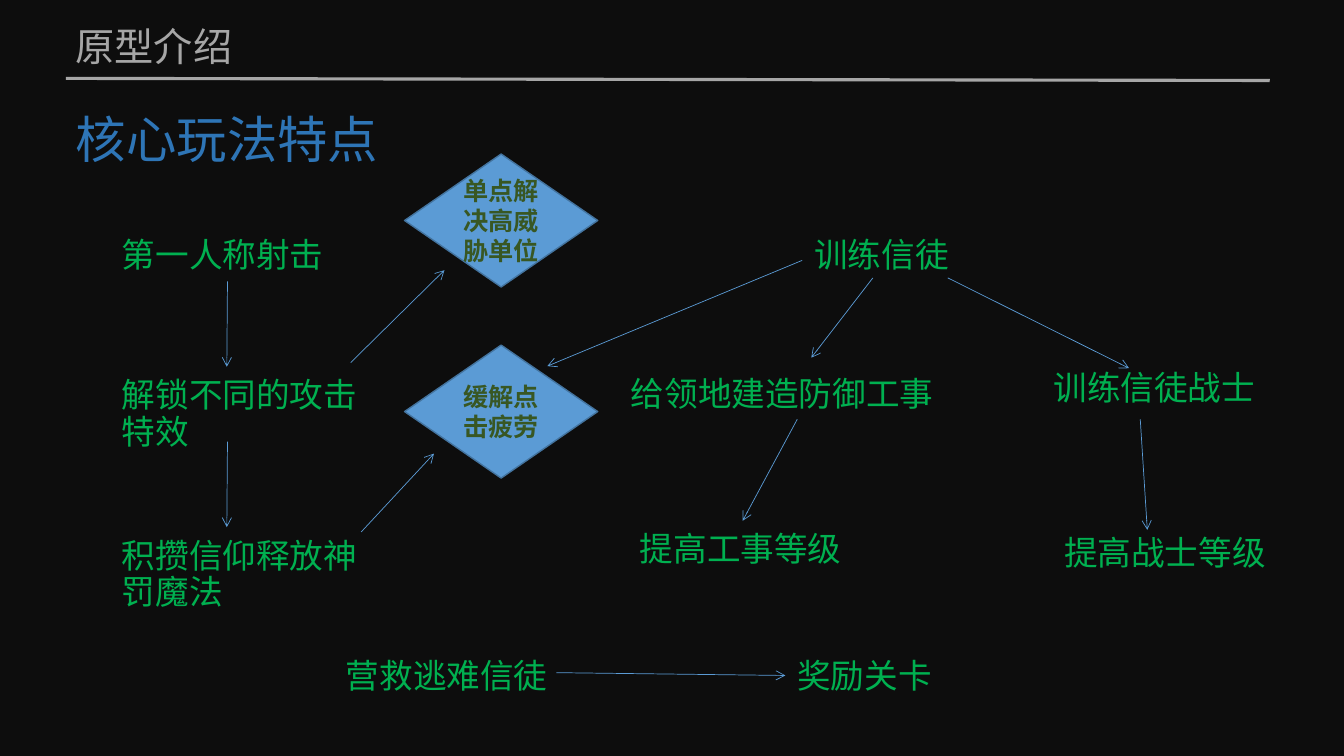
"""Build the slide on the core gameplay features of the prototype."""
from lxml.etree import SubElement
from pptx import Presentation
from pptx.dml.color import RGBColor
from pptx.enum.shapes import MSO_CONNECTOR, MSO_SHAPE
from pptx.enum.text import MSO_ANCHOR, MSO_AUTO_SIZE, PP_ALIGN
from pptx.oxml.ns import qn
from pptx.util import Pt

COLORS = {
    "background": "0D0D0D",
    "title": "2E75B6",
    "section": "A6A6A6",
    "feature": "00B050",
    "accent": "5B9BD5",
    "outline": "43739E",
    "benefit": "385723",
}
FONT = "Noto Sans CJK SC"
BOTTOM, TOP = MSO_ANCHOR.BOTTOM, MSO_ANCHOR.TOP

FEATURES = [
    ("第一人称射击", 80, 147, 171, 52.5, BOTTOM),
    ("解锁不同的攻击特效", 80, 262, 183, 64, BOTTOM),
    ("积攒信仰释放神罚魔法", 80, 376.5, 183, 64, BOTTOM),
    ("训练信徒", 574.5, 147, 171, 52.5, BOTTOM),
    ("给领地建造防御工事", 443.5, 240.5, 253, 58.5, BOTTOM),
    ("提高工事等级", 450, 376.5, 253, 58.5, TOP),
    ("训练信徒战士", 745.5, 262, 191, 58.5, TOP),
    ("提高战士等级", 753, 379.5, 191, 58.5, TOP),
    ("营救逃难信徒", 240, 456, 183, 44.5, BOTTOM),
    ("奖励关卡", 562.5, 456, 183, 44.5, BOTTOM),
]
BENEFITS = [("单点解决高威胁单位", 110), ("缓解点击疲劳", 246.5)]
ARROWS = [
    (162.5, 201, 162, 262),
    (162.5, 315.5, 162, 376.5),
    (623.5, 198.5, 579.5, 255.5),
    (569.5, 299.5, 530.5, 372),
    (677, 198.5, 806.5, 263),
    (814.5, 299.5, 819.5, 378.5),
    (258, 380, 310, 324),
    (573, 186, 391, 261.5),
    (397.5, 480.5, 561, 482.5),
    (250.5, 259, 317.5, 193),
]


def color(name):
    """Return the named colour."""
    return RGBColor.from_string(COLORS[name])


def write_text(shape, text, size, color_name, anchor, font=FONT, spacing=0.9):
    """Fill a shape with one formatted paragraph and return the paragraph."""
    frame = shape.text_frame
    frame.word_wrap = True
    frame.auto_size = MSO_AUTO_SIZE.NONE
    frame.vertical_anchor = anchor
    paragraph = frame.paragraphs[0]
    paragraph.text = text
    paragraph.alignment = PP_ALIGN.LEFT
    paragraph.line_spacing = spacing
    paragraph.font.name = font
    paragraph.font.size = Pt(size)
    paragraph.font.color.rgb = color(color_name)
    properties = paragraph._p.get_or_add_pPr().find(qn("a:defRPr"))
    SubElement(properties, qn("a:ea")).set("typeface", FONT)
    return paragraph


def add_title(slide, text):
    """Place and format the slide title."""
    title = slide.shapes.title
    title.left, title.top, title.width, title.height = Pt(47), Pt(70), Pt(682), Pt(54.5)
    write_text(title, text, 36, "title", BOTTOM)


def add_text(slide, text, left, top, width, height, anchor, size=24,
             color_name="feature", font=FONT):
    """Add a text box and return its paragraph."""
    box = slide.shapes.add_textbox(Pt(left), Pt(top), Pt(width), Pt(height))
    return write_text(box, text, size, color_name, anchor, font)


def add_benefit(slide, text, top):
    """Add a diamond naming a benefit for the player."""
    diamond = slide.shapes.add_shape(
        MSO_SHAPE.DIAMOND, Pt(289), Pt(top), Pt(138), Pt(95))
    diamond.shadow.inherit = False
    diamond.fill.solid()
    diamond.fill.fore_color.rgb = color("accent")
    diamond.line.color.rgb = color("outline")
    diamond.line.width = Pt(1)
    paragraph = write_text(diamond, text, 18, "benefit", MSO_ANCHOR.MIDDLE, spacing=1.0)
    paragraph.alignment = PP_ALIGN.CENTER
    paragraph.font.bold = True


def add_line(slide, points, color_name, width, arrow=False):
    """Add a straight line, with an arrowhead at its end if asked."""
    line = slide.shapes.add_connector(
        MSO_CONNECTOR.STRAIGHT, *(Pt(value) for value in points))
    line.line.color.rgb = color(color_name)
    line.line.width = Pt(width)
    if arrow:
        SubElement(line.line._get_or_add_ln(), qn("a:tailEnd")).set("type", "arrow")
    SubElement(line._element.spPr, qn("a:effectLst"))


def main():
    """Build and save the presentation."""
    presentation = Presentation()
    presentation.slide_width, presentation.slide_height = Pt(960), Pt(540)
    slide = presentation.slides.add_slide(presentation.slide_layouts[5])
    slide.background.fill.solid()
    slide.background.fill.fore_color.rgb = color("background")

    add_title(slide, "核心玩法特点")
    section = add_text(slide, "原型介绍", 47, 16, 720, 54, TOP, 28, "section", "Calibri")
    section.space_before = Pt(10)
    add_line(slide, (47, 56, 907, 57.5), "section", 2.25)
    for feature in FEATURES:
        add_text(slide, *feature)
    for benefit in BENEFITS:
        add_benefit(slide, *benefit)
    for points in ARROWS:
        add_line(slide, points, "accent", 0.5, arrow=True)
    presentation.save("out.pptx")


if __name__ == "__main__":
    main()
